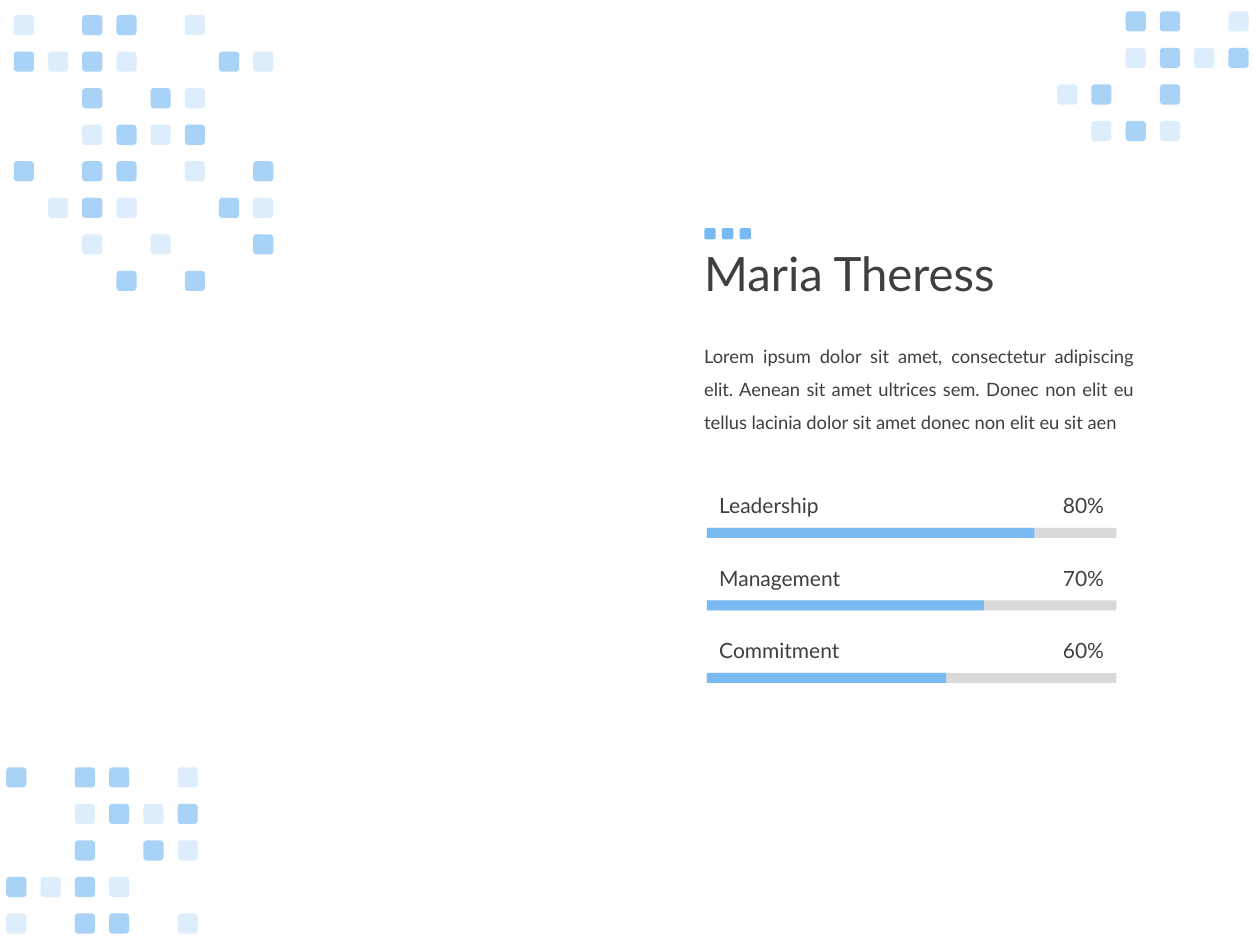
from lxml import etree
from pptx import Presentation
from pptx.dml.color import RGBColor
from pptx.enum.shapes import MSO_SHAPE
from pptx.enum.text import MSO_ANCHOR, MSO_AUTO_SIZE, PP_ALIGN
from pptx.oxml.ns import qn
from pptx.util import Inches, Pt

RECTANGLE, ROUNDED = MSO_SHAPE.RECTANGLE, MSO_SHAPE.ROUNDED_RECTANGLE
TOP, MIDDLE = MSO_ANCHOR.TOP, MSO_ANCHOR.MIDDLE
LEFT, RIGHT, JUSTIFY = PP_ALIGN.LEFT, PP_ALIGN.RIGHT, PP_ALIGN.JUSTIFY
NO_FIT, GROW = MSO_AUTO_SIZE.NONE, MSO_AUTO_SIZE.SHAPE_TO_FIT_TEXT

FONT = "Lato"
BLUE, GREY, DARK, WHITE = "7ABAF2", "D9D9D9", "3F3F3F", "FFFFFF"
OPACITY = {"L": 25, "D": 65, "S": 100}

TOP_LEFT_PATTERN = [
    "L.DD.L..",
    "DLDL..DL",
    "..D.DL..",
    "..LDLD..",
    "D.DD.L.D",
    ".LDL..DL",
    "..L.L..D",
    "...D.D..",
]
BOTTOM_LEFT_PATTERN = ["D.DD.L", "..LDLD", "..D.DL", "DLDL..", "L.DD.L"]
TOP_RIGHT_PATTERN = ["..DD.L", "..LDLD", "LD.D..", ".LDL.."]

SKILLS = [
    ("Leadership", "80%", 2.6),
    ("Management", "70%", 2.2),
    ("Commitment", "60%", 1.9),
]
BIOGRAPHY = (
    "Lorem ipsum dolor sit amet, consectetur adipiscing elit. Aenean sit amet "
    "ultrices sem. Donec non elit eu tellus lacinia dolor sit amet donec non "
    "elit eu sit aen"
)


def color(hex_value):
    """Return the RGB colour for a hex string."""
    return RGBColor.from_string(hex_value)


def add_block(shapes, kind, box, fill, opacity=100):
    """Add a borderless filled shape in the box, with opacity in percent."""
    shape = shapes.add_shape(kind, *map(Inches, box))
    shape.shadow.inherit = False
    shape.line.fill.background()
    shape.fill.solid()
    shape.fill.fore_color.rgb = color(fill)
    if opacity < 100:
        fill_color = shape.fill._xPr.find(qn("a:solidFill"))[0]
        etree.SubElement(fill_color, qn("a:alpha")).set("val", str(opacity * 1000))


def add_text(slide, box, text, size, anchor=TOP, alignment=LEFT, spacing=1.0, fit=GROW):
    """Add a wrapped single-paragraph text box."""
    text_frame = slide.shapes.add_textbox(*map(Inches, box)).text_frame
    text_frame.word_wrap = True
    text_frame.auto_size = fit
    text_frame.vertical_anchor = anchor
    text_frame.text = text
    paragraph = text_frame.paragraphs[0]
    paragraph.alignment = alignment
    paragraph.line_spacing = spacing
    font = paragraph.runs[0].font
    font.name = FONT
    font.size = Pt(size)
    font.color.rgb = color(DARK)


def add_mosaic(slide, box, pattern, size=0.16):
    """Spread a grouped pattern of rounded squares evenly over the box."""
    left, top, width, height = box
    column_step = (width - size) / max(len(pattern[0]) - 1, 1)
    row_step = (height - size) / max(len(pattern) - 1, 1)
    group = slide.shapes.add_group_shape()
    for row, line in enumerate(pattern):
        for column, tone in enumerate(line):
            if tone in OPACITY:
                square = (left + column * column_step, top + row * row_step, size, size)
                add_block(group.shapes, ROUNDED, square, BLUE, OPACITY[tone])


def add_profile(slide, box):
    """Add the name, its three accent squares and the biography."""
    left, top, width, height = box
    add_text(slide, (left, top, width, 1.45), "Maria Theress", 27, MIDDLE,
             spacing=0.9, fit=NO_FIT)
    add_text(slide, (left, top + height - 0.86, 3.61, 0.86), BIOGRAPHY, 10.5,
             alignment=JUSTIFY, spacing=1.5)
    add_mosaic(slide, (left + 0.1, top + 0.34, 0.37, 0.09), ["SSS"], 0.09)


def add_skills(slide, box):
    """Spread the labelled skill bars evenly over the box."""
    left, top, width, height = box
    row_height, label_height, bar_height, value_width = 0.41, 0.3, 0.08, 0.79
    step = (height - row_height) / (len(SKILLS) - 1)
    for index, (name, value, filled_width) in enumerate(SKILLS):
        row_top = top + index * step
        bar_top = row_top + row_height - bar_height
        for bar_width, fill in ((width, GREY), (filled_width, BLUE)):
            add_block(slide.shapes, RECTANGLE, (left, bar_top, bar_width, bar_height), fill)
        add_text(slide, (left, row_top, 1.55, label_height), name, 12, MIDDLE)
        add_text(slide, (left + width - value_width, row_top, value_width, label_height),
                 value, 12, MIDDLE, RIGHT)


def main():
    """Build and save the profile slide."""
    presentation = Presentation()
    presentation.slide_width = Inches(10)
    presentation.slide_height = Inches(7.5)
    slide = presentation.slides.add_slide(presentation.slide_layouts[6])
    slide.background.fill.solid()
    slide.background.fill.fore_color.rgb = color(WHITE)
    add_mosaic(slide, (0.05, 6.09, 1.52, 1.32), BOTTOM_LEFT_PATTERN)
    add_mosaic(slide, (0.11, 0.12, 2.06, 2.19), TOP_LEFT_PATTERN)
    add_profile(slide, (5.49, 1.47, 4.51, 1.99))
    add_skills(slide, (5.61, 3.86, 3.25, 1.56))
    add_mosaic(slide, (8.39, 0.09, 1.52, 1.03), TOP_RIGHT_PATTERN)
    presentation.save("out.pptx")


if __name__ == "__main__":
    main()
